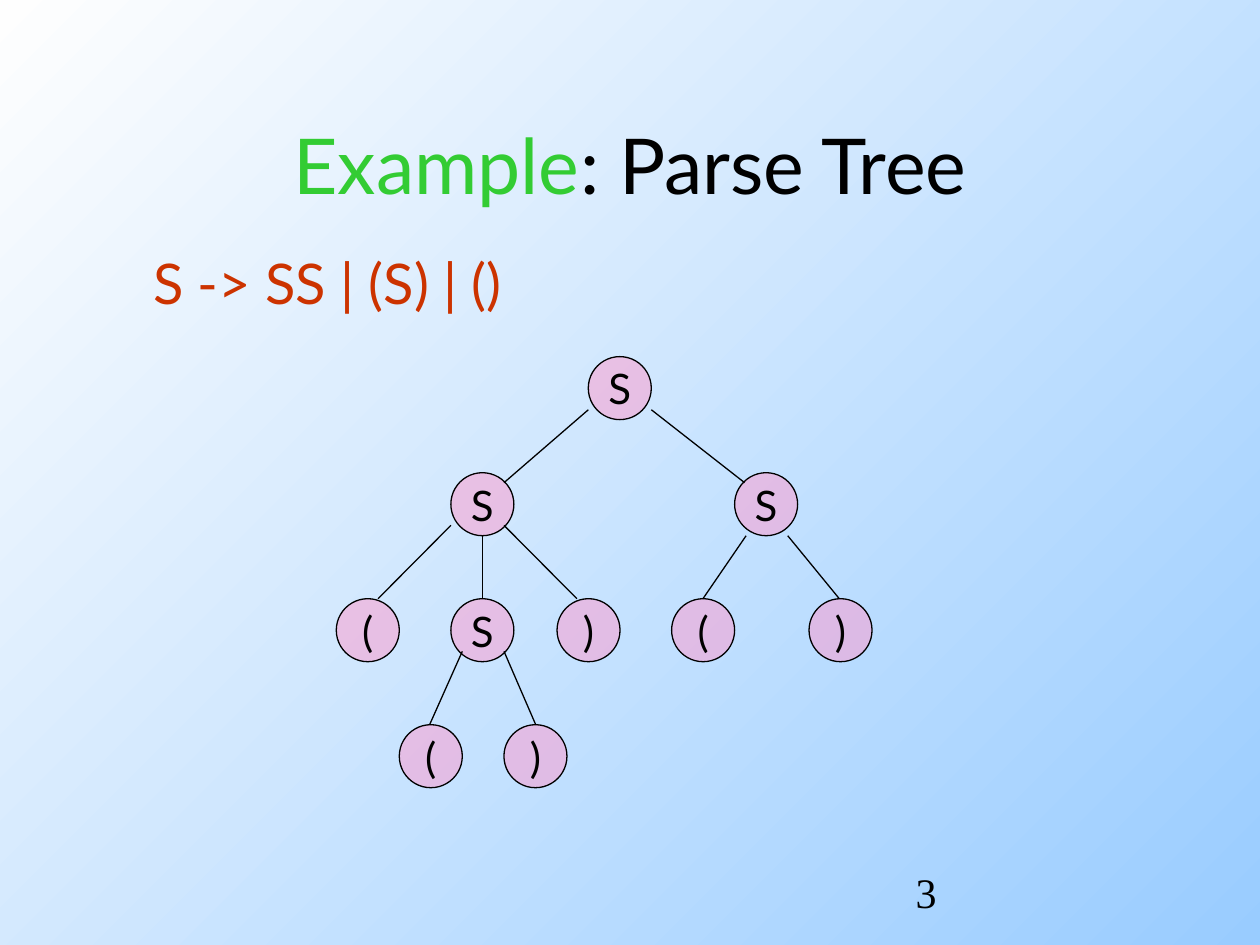
from dataclasses import dataclass

from lxml import etree
from pptx import Presentation
from pptx.dml.color import RGBColor
from pptx.enum import shapes, text
from pptx.oxml.ns import qn
from pptx.util import Cm, Pt

COLORS = {
    "sky": "99CCFF",
    "white": "FEFEFE",
    "green": "33CC33",
    "rust": "CC3300",
    "pink": "FF99CC",
    "black": "000000",
}
FONT = "Lato"
NODE_SIZE = 1.27
LEVEL_TOPS = (7.19, 9.53, 12.07, 14.61)


@dataclass
class Node:
    symbol: str
    left: float
    level: int


@dataclass
class Branch:
    x1: float
    y1: float
    x2: float
    y2: float


NODES = [
    Node("S", 11.86, 0),
    Node("S", 9.09, 1), Node("S", 14.81, 1),
    Node("(", 6.78, 2), Node("S", 9.09, 2), Node(")", 11.23, 2),
    Node("(", 13.54, 2), Node(")", 16.31, 2),
    Node("(", 8.05, 3), Node(")", 10.16, 3),
]
BRANCHES = [
    Branch(11.86, 8.26, 10.16, 9.73), Branch(13.13, 8.26, 15.01, 9.73),
    Branch(9.09, 10.59, 7.62, 12.07), Branch(9.73, 10.8, 9.73, 12.07),
    Branch(10.16, 10.59, 11.63, 12.07),
    Branch(15.04, 10.8, 14.17, 12.07), Branch(15.88, 10.8, 16.92, 12.07),
    Branch(9.32, 13.13, 8.66, 14.61), Branch(10.16, 13.13, 10.8, 14.61),
]


def rgb(name: str) -> RGBColor:
    return RGBColor.from_string(COLORS[name])


def add_text(paragraph, content: str, *, size: float = 24, color: str = "black",
             font: str = FONT, align=text.PP_ALIGN.LEFT) -> None:
    paragraph.alignment = align
    run = paragraph.add_run()
    run.text = content
    run.font.size = Pt(size)
    run.font.name = font
    run.font.color.rgb = rgb(color)


def add_text_box(slide, left: float, top: float, width: float, height: float,
                 *, wrap: bool = True):
    box = slide.shapes.add_textbox(Cm(left), Cm(top), Cm(width), Cm(height))
    box.text_frame.word_wrap = wrap
    return box.text_frame


def add_branch(slide, branch: Branch) -> None:
    connector = slide.shapes.add_connector(
        shapes.MSO_CONNECTOR.STRAIGHT,
        Cm(branch.x1), Cm(branch.y1), Cm(branch.x2), Cm(branch.y2))
    connector.line.color.rgb = rgb("black")
    connector.line.width = Pt(0.75)
    etree.SubElement(connector._element.spPr, qn("a:effectLst"))


def add_node(slide, node: Node) -> None:
    shape = slide.shapes.add_shape(
        shapes.MSO_SHAPE.OVAL, Cm(node.left), Cm(LEVEL_TOPS[node.level]),
        Cm(NODE_SIZE), Cm(NODE_SIZE))
    shape.shadow.inherit = False
    shape.fill.solid()
    shape.fill.fore_color.rgb = rgb("pink")
    fill_color = shape._element.spPr.find(qn("a:solidFill"))[0]
    etree.SubElement(fill_color, qn("a:alpha"), val="50000")
    shape.line.color.rgb = rgb("black")
    shape.line.width = Pt(0.75)
    frame = shape.text_frame
    frame.word_wrap = False
    frame.vertical_anchor = text.MSO_ANCHOR.MIDDLE
    add_text(frame.paragraphs[0], node.symbol, align=text.PP_ALIGN.CENTER)


def main() -> None:
    presentation = Presentation()
    presentation.slide_width, presentation.slide_height = Cm(25.4), Cm(19.05)
    slide = presentation.slides.add_slide(presentation.slide_layouts[5])

    # Background, blue at bottom right to white at top left
    fill = slide.background.fill
    fill.gradient()
    fill.gradient_angle = 135
    for stop, name in zip(fill.gradient_stops, ("sky", "white")):
        stop.color.rgb = rgb(name)

    # Title
    title = slide.shapes.title
    title.left, title.top, title.width, title.height = (
        Cm(1.9), Cm(1.7), Cm(21.6), Cm(3.18))
    title.text_frame.vertical_anchor = text.MSO_ANCHOR.MIDDLE
    heading = title.text_frame.paragraphs[0]
    for content, color in (("Example", "green"), (": Parse Tree", "black")):
        add_text(heading, content, size=44, color=color,
                 align=text.PP_ALIGN.CENTER)

    # Grammar rule
    frame = add_text_box(slide, 2.84, 4.88, 8.36, 1.63, wrap=False)
    frame.auto_size = text.MSO_AUTO_SIZE.SHAPE_TO_FIT_TEXT
    rule = frame.paragraphs[0]
    rule.space_before = Pt(8)
    add_text(rule, "S -> SS | (S) | ()", size=32, color="rust")

    # Parse tree
    for node in NODES:
        add_node(slide, node)
    for branch in BRANCHES:
        add_branch(slide, branch)

    # Page number
    frame = add_text_box(slide, 18.21, 17.35, 5.28, 1.27)
    add_text(frame.paragraphs[0], "3", font="Times New Roman")

    presentation.save("out.pptx")


if __name__ == "__main__":
    main()
